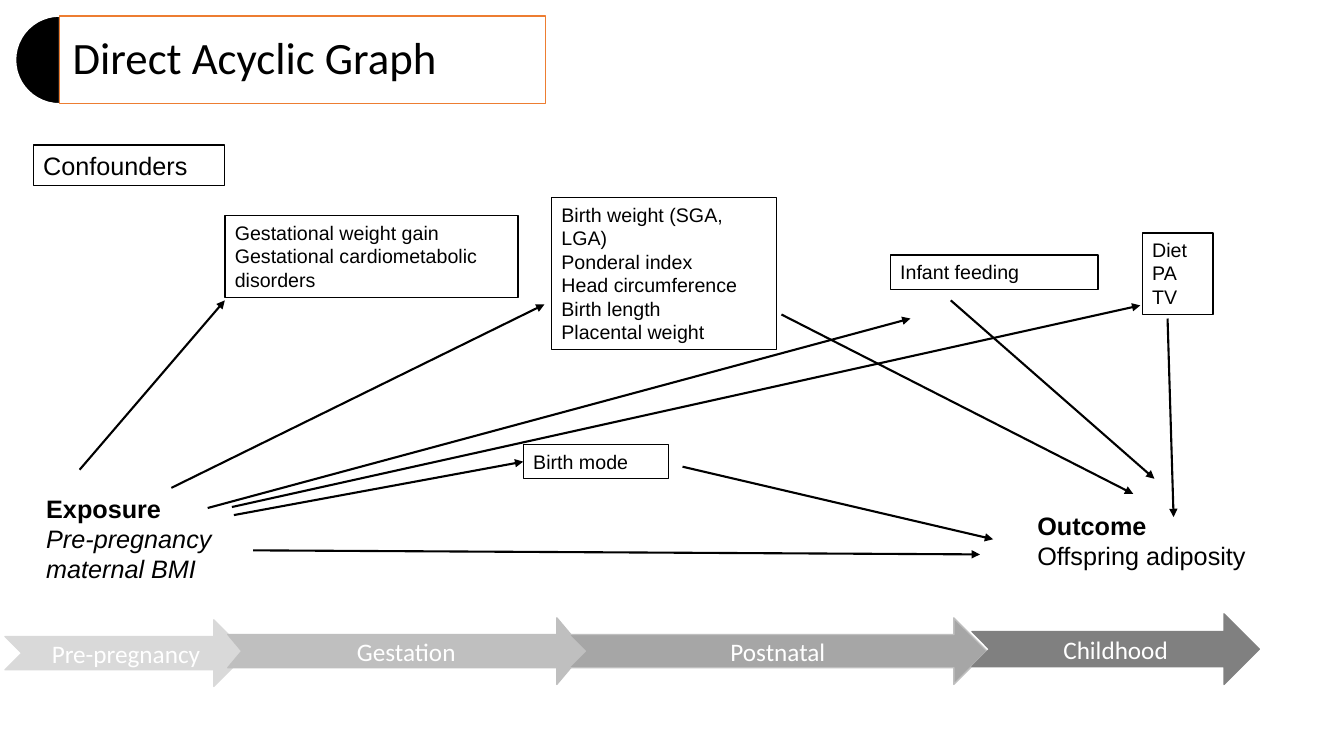
from lxml import etree
from pptx import Presentation
from pptx.dml.color import RGBColor
from pptx.enum.shapes import MSO_CONNECTOR, MSO_SHAPE
from pptx.enum.text import MSO_ANCHOR, PP_ALIGN
from pptx.oxml.ns import qn
from pptx.util import Inches, Pt

RECT, PIE, STAGE = MSO_SHAPE.RECTANGLE, MSO_SHAPE.PIE, MSO_SHAPE.NOTCHED_RIGHT_ARROW
STRAIGHT = MSO_CONNECTOR.STRAIGHT
TOP, MIDDLE = MSO_ANCHOR.TOP, MSO_ANCHOR.MIDDLE
LEFT, CENTER = PP_ALIGN.LEFT, PP_ALIGN.CENTER

COLORS = {
    "black": "000000", "white": "FFFFFF", "orange": "ED7D31",
    "pale": "D9D9D9", "light": "BFBFBF", "medium": "A6A6A6", "dark": "808080",
}

# Content: places are (left, top, width, height) in inches
TITLE = "Direct Acyclic Graph"
TITLE_PLACE = (0.59, 0.16, 4.82, 0.87)

ENDPOINTS = [  # place, heading, description, description is italic
    ((0.36, 4.84, 2.15, 1.01), "Exposure", "Pre-pregnancy maternal BMI", True),
    ((10.19, 5.01, 3.15, 0.71), "Outcome", "Offspring adiposity", False),
]

FACTORS = [  # place, text size, lines
    ((0.33, 1.44, 1.9, 0.4), 18, ["Confounders"]),
    ((2.23, 2.14, 2.91, 0.81), 14,
     ["Gestational weight gain", "Gestational cardiometabolic disorders"]),
    ((5.47, 1.96, 2.23, 1.51), 14,
     ["Birth weight (SGA, LGA)", "Ponderal index", "Head circumference",
      "Birth length", "Placental weight"]),
    ((5.19, 4.41, 1.44, 0.34), 14, ["Birth mode"]),
    ((8.83, 2.53, 2.06, 0.34), 14, ["Infant feeding"]),
    ((11.33, 2.31, 0.7, 0.81), 14, ["Diet", "PA", "TV"]),
]

EFFECTS = [  # from x, y, to x, y
    (0.79, 4.66, 2.23, 2.98),    # exposure to gestational factors
    (1.7, 4.84, 5.4, 3.02),      # exposure to birth size
    (2.06, 5.04, 9.03, 3.16),    # exposure to infant feeding
    (2.3, 5.03, 11.31, 3.03),    # exposure to diet
    (2.32, 5.11, 5.19, 4.58),    # exposure to birth mode
    (2.51, 5.46, 9.72, 5.5),     # exposure to outcome
    (6.77, 4.63, 9.85, 5.35),    # birth mode to outcome
    (7.75, 3.12, 11.24, 4.9),    # birth size to outcome
    (9.43, 2.98, 11.45, 4.75),   # infant feeding to outcome
    (11.58, 3.16, 11.64, 5.13),  # diet to outcome
]

STAGES = [  # text, place, fill, line, head length
    ("Pre-pregnancy", (0.05, 6.15, 2.4, 0.66), "pale", "pale", 0.5),
    ("Gestation", (2.26, 6.13, 3.54, 0.66), "light", "light", 0.42),
    ("Postnatal", (5.64, 6.13, 4.15, 0.66), "medium", "light", 0.5),
    ("Childhood", (9.64, 6.09, 2.85, 0.7), "dark", "dark", 0.5),
]

prs = Presentation()
prs.slide_width, prs.slide_height = Inches(13.33), Inches(7.5)
slide = prs.slides.add_slide(prs.slide_layouts[6])


def rgb(name):
    return RGBColor.from_string(COLORS[name])


def add_box(kind, place, fill, line):
    box = slide.shapes.add_shape(kind, *map(Inches, place))
    box.shadow.inherit = False
    box.fill.solid()
    box.fill.fore_color.rgb = rgb(fill)
    box.line.color.rgb = rgb(line)
    box.line.width = Pt(1)
    return box


def write(box, lines, size=18, font="Arial", color="black", align=LEFT,
          anchor=TOP, styles=(), margin=None, spacing=None):
    """Fill a box with one paragraph a line; styles holds (bold, italic) pairs."""
    frame = box.text_frame
    frame.word_wrap = True
    frame.vertical_anchor = anchor
    if margin is not None:
        frame.margin_left = frame.margin_right = Inches(margin)
        frame.margin_top = frame.margin_bottom = Inches(margin)
    for i, line in enumerate(lines):
        para = frame.paragraphs[0] if i == 0 else frame.add_paragraph()
        para.alignment = align
        para.line_spacing = spacing
        run = para.add_run()
        run.text = line
        run.font.name, run.font.size = font, Pt(size)
        run.font.color.rgb = rgb(color)
        run.font.bold, run.font.italic = styles[i] if styles else (False, False)


def add_effect(x1, y1, x2, y2):
    arrow = slide.shapes.add_connector(STRAIGHT, *map(Inches, (x1, y1, x2, y2)))
    arrow.line.color.rgb = rgb("black")
    arrow.line.width = Pt(1.5)
    etree.SubElement(arrow.line._get_or_add_ln(), qn("a:tailEnd"), type="triangle")
    etree.SubElement(arrow._element.spPr, qn("a:effectLst"))


# Title with a half disc at its left edge
left, top, _, height = TITLE_PLACE
half_disc = add_box(PIE, (left - height / 2, top, height, height), "black", "white")
half_disc.adjustments[0], half_disc.adjustments[1] = 54, 162
title = add_box(RECT, TITLE_PLACE, "white", "orange")
write(title, [TITLE], size=32, font="Calibri", anchor=MIDDLE, margin=0.13, spacing=0.9)

# Exposure and outcome
for place, heading, description, italic in ENDPOINTS:
    endpoint = slide.shapes.add_textbox(*map(Inches, place))
    write(endpoint, [heading, description], styles=[(True, False), (False, italic)])

# Factors between them
for place, size, lines in FACTORS:
    write(add_box(RECT, place, "white", "black"), lines, size=size)

# Causal arrows
for effect in EFFECTS:
    add_effect(*effect)

# Timeline
for text, place, fill, line, head in STAGES:
    stage = add_box(STAGE, place, fill, line)
    stage.adjustments[1] = head
    write(stage, [text], font="Calibri", color="white", align=CENTER, anchor=MIDDLE)

prs.save("out.pptx")
